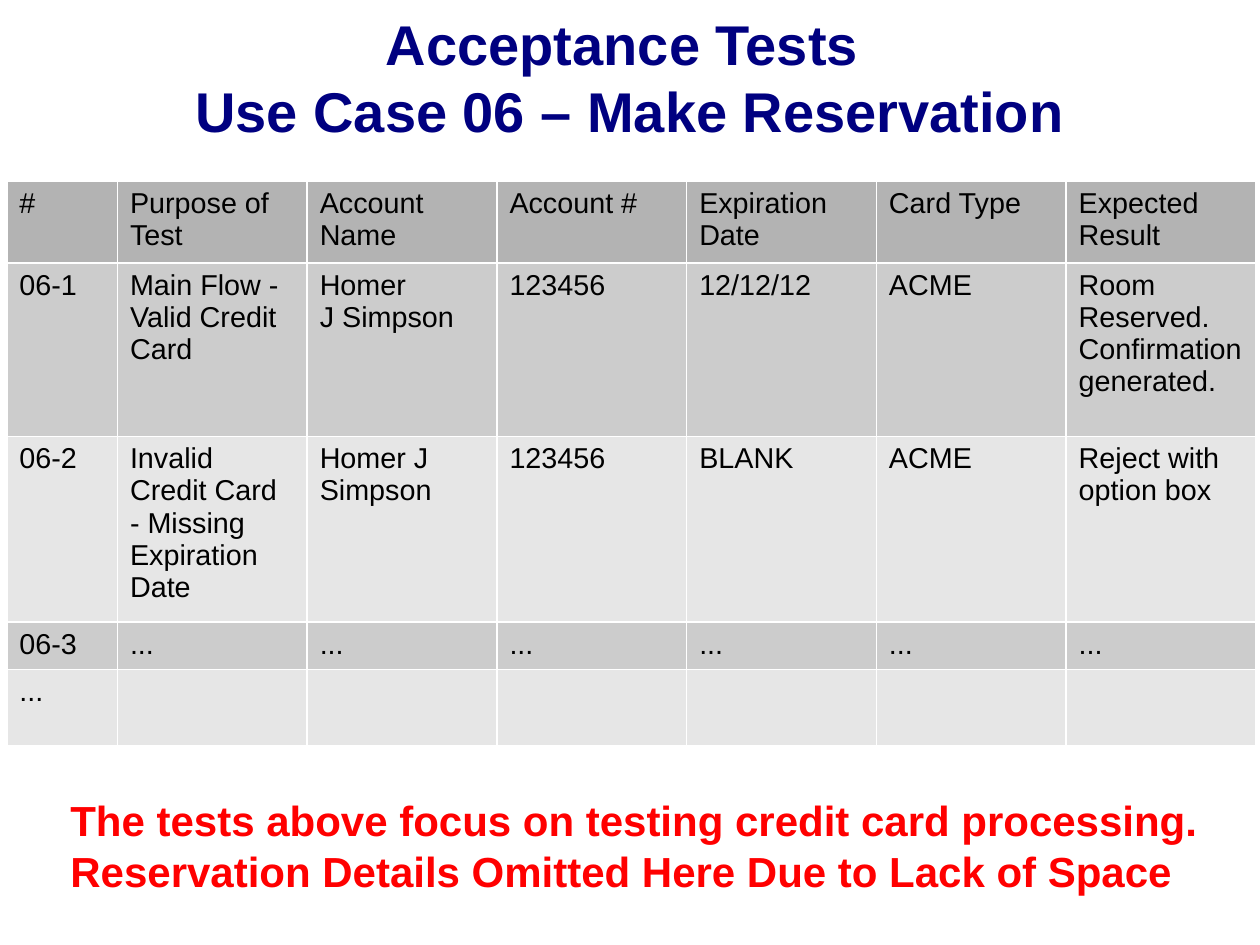
"""Build the acceptance tests slide for use case 06."""
from dataclasses import dataclass

from pptx import Presentation
from pptx.dml.color import RGBColor
from pptx.enum import text
from pptx.util import Pt


@dataclass(frozen=True)
class Theme:
    font: str = "Arial"
    title: str = "000080"
    note: str = "FF0000"
    body: str = "000000"
    header: str = "B3B3B3"
    bands: tuple[str, str] = ("CCCCCC", "E6E6E6")
    title_size: float = 32
    note_size: float = 24
    cell_size: float = 16.4


@dataclass(frozen=True)
class Box:
    left: float
    top: float
    width: float
    height: float

    def points(self) -> tuple:
        return tuple(Pt(v) for v in (self.left, self.top, self.width, self.height))


@dataclass(frozen=True)
class TestRow:
    height: float
    cells: tuple[str, ...]


THEME = Theme()
TITLE_BOX = Box(36, 1.44, 648, 84.24)
TABLE_BOX = Box(3.9, 103.6, 714, 322.8)
NOTE_BOX = Box(33.1, 450.7, 658.8, 64.8)
COLUMNS = [63.2] + [108.45] * 6
ROWS = [
    TestRow(46.8, ("#", "Purpose of Test", "Account Name", "Account #",
                   "Expiration Date", "Card Type", "Expected Result")),
    TestRow(99, ("06-1", "Main Flow - Valid Credit Card", "Homer\nJ Simpson", "123456",
                 "12/12/12", "ACME", "Room Reserved.\nConfirmation generated.")),
    TestRow(106.1, ("06-2", "Invalid Credit Card - Missing Expiration Date",
                    "Homer J Simpson", "123456", "BLANK", "ACME",
                    "Reject with option box")),
    TestRow(27, ("06-3",) + ("...",) * 6),
    TestRow(43.9, ("...",) + ("",) * 6),
]


def write(tf, words: str, *, size: float, color: str, bold: bool = False,
          align=text.PP_ALIGN.LEFT) -> None:
    """Fill a text frame with formatted text, one paragraph per line."""
    tf.text = words
    for p in tf.paragraphs:
        p.alignment = align
        for r in p.runs:
            r.font.name = THEME.font
            r.font.size = Pt(size)
            r.font.bold = bold
            r.font.color.rgb = RGBColor.from_string(color)


def add_title(s, words: str, box: Box) -> None:
    """Place and format the title placeholder."""
    sp = s.shapes.title
    sp.left, sp.top, sp.width, sp.height = box.points()
    tf = sp.text_frame
    write(tf, words, size=THEME.title_size, color=THEME.title, bold=True,
          align=text.PP_ALIGN.CENTER)
    tf.vertical_anchor = text.MSO_ANCHOR.MIDDLE
    tf.auto_size = text.MSO_AUTO_SIZE.SHAPE_TO_FIT_TEXT


def add_tests(s, rows: list[TestRow], box: Box) -> None:
    """Draw the test table with a header and alternating bands."""
    table = s.shapes.add_table(len(rows), len(COLUMNS), *box.points()).table
    for column, width in zip(table.columns, COLUMNS):
        column.width = Pt(width)
    for i, row in enumerate(rows):
        table.rows[i].height = Pt(row.height)
        fill = THEME.bands[(i - 1) % 2] if i else THEME.header
        for j, words in enumerate(row.cells):
            cell = table.cell(i, j)
            cell.fill.solid()
            cell.fill.fore_color.rgb = RGBColor.from_string(fill)
            write(cell.text_frame, words, size=THEME.cell_size, color=THEME.body)


def add_note(s, words: str, box: Box) -> None:
    """Add the note below the table."""
    tf = s.shapes.add_textbox(*box.points()).text_frame
    tf.word_wrap = False
    tf.auto_size = text.MSO_AUTO_SIZE.SHAPE_TO_FIT_TEXT
    write(tf, words, size=THEME.note_size, color=THEME.note, bold=True)


def main() -> None:
    """Build and save the slide."""
    prs = Presentation()
    prs.slide_width, prs.slide_height = Pt(720), Pt(540)
    s = prs.slides.add_slide(prs.slide_layouts[5])
    add_title(s, "Acceptance Tests \vUse Case 06 – Make Reservation", TITLE_BOX)
    add_tests(s, ROWS, TABLE_BOX)
    add_note(s, "The tests above focus on testing credit card processing.\n"
                "Reservation Details Omitted Here Due to Lack of Space", NOTE_BOX)
    prs.save("out.pptx")


if __name__ == "__main__":
    main()
